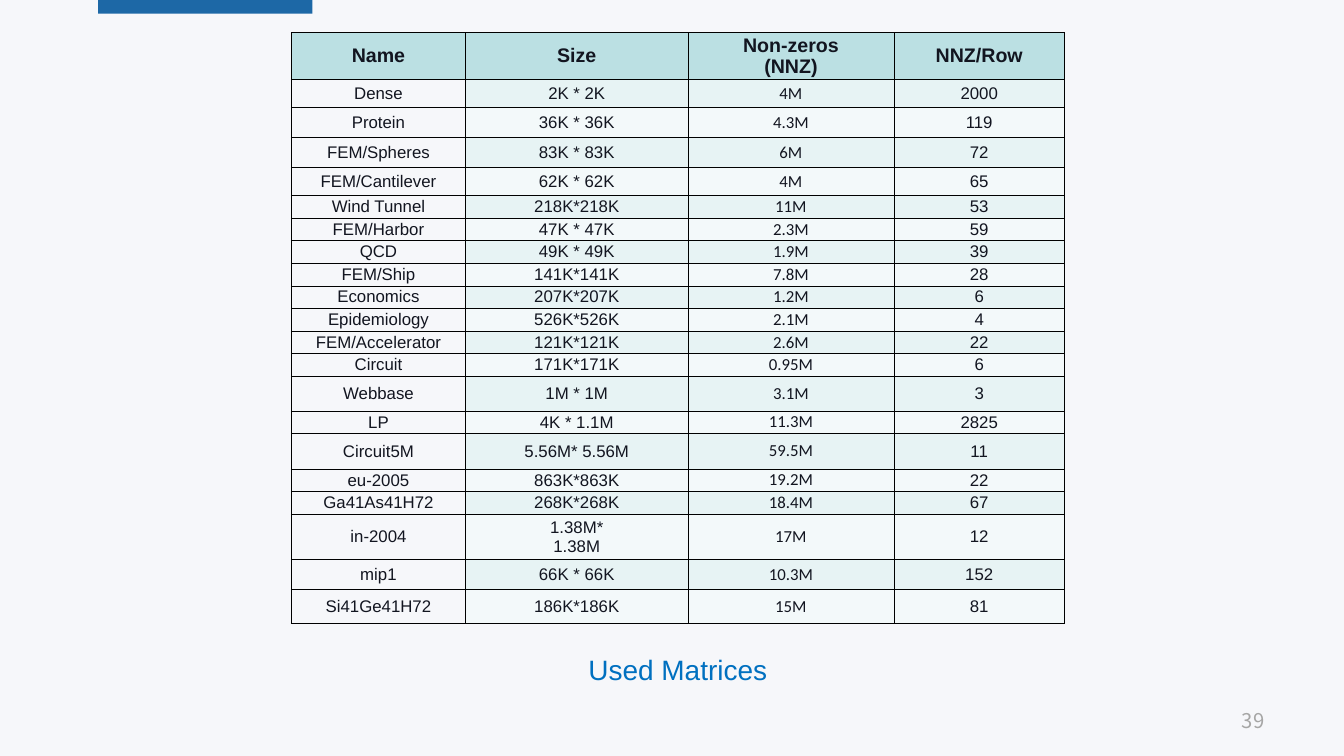
from pptx import Presentation
from pptx.dml.color import RGBColor
from pptx.enum.shapes import MSO_SHAPE as SHAPE
from pptx.enum.text import MSO_ANCHOR as ANCHOR, PP_ALIGN as ALIGN
from pptx.oxml import parse_xml
from pptx.oxml.ns import nsdecls
from pptx.util import Cm, Pt


def rgb(color):
    return RGBColor.from_string(color)


def style(tf, size, font, color, align=ALIGN.CENTER, bold=False):
    for p in tf.paragraphs:
        p.alignment = align
        p.font.size, p.font.name, p.font.bold = Pt(size), font, bold
        p.font.color.rgb = rgb(color)


prs = Presentation()
prs.slide_width, prs.slide_height = Cm(67.74), Cm(38.1)
s = prs.slides.add_slide(prs.slide_layouts[6])
s.background.fill.solid()
s.background.fill.fore_color.rgb = rgb("F6F7FA")

# Accent bar at the top edge
sp = s.shapes.add_shape(SHAPE.RECTANGLE, Cm(4.95), Cm(0), Cm(10.8), Cm(0.69))
sp.shadow.inherit = False
sp.fill.solid()
sp.fill.fore_color.rgb = rgb("1D68A6")
sp.line.fill.background()

# Matrix table: row height in cm, then the four cells
rows = [
    (2.36, "Name", "Size", "Non-zeros\n(NNZ)", "NNZ/Row"),
    (1.42, "Dense", "2K * 2K", "4M", "2000"),
    (1.5, "Protein", "36K * 36K", "4.3M", "119"),
    (1.5, "FEM/Spheres", "83K * 83K", "6M", "72"),
    (1.42, "FEM/Cantilever", "62K * 62K", "4M", "65"),
    (1.14, "Wind Tunnel", "218K*218K", "11M", "53"),
    (1.14, "FEM/Harbor", "47K * 47K", "2.3M", "59"),
    (1.14, "QCD", "49K * 49K", "1.9M", "39"),
    (1.14, "FEM/Ship", "141K*141K", "7.8M", "28"),
    (1.14, "Economics", "207K*207K", "1.2M", "6"),
    (1.14, "Epidemiology", "526K*526K", "2.1M", "4"),
    (1.14, "FEM/Accelerator", "121K*121K", "2.6M", "22"),
    (1.14, "Circuit", "171K*171K", "0.95M", "6"),
    (1.75, "Webbase", "1M * 1M", "3.1M", "3"),
    (1.14, "LP", "4K * 1.1M", "11.3M", "2825"),
    (1.78, "Circuit5M", "5.56M* 5.56M", "59.5M", "11"),
    (1.14, "eu-2005", "863K*863K", "19.2M", "22"),
    (1.14, "Ga41As41H72", "268K*268K", "18.4M", "67"),
    (2.29, "in-2004", "1.38M*\n1.38M", "17M", "12"),
    (1.52, "mip1", "66K * 66K", "10.3M", "152"),
    (1.68, "Si41Ge41H72", "186K*186K", "15M", "81"),
]
widths = [8.79, 11.2, 10.39, 8.59]
table = s.shapes.add_table(len(rows), len(widths), Cm(14.68), Cm(1.65),
                           Cm(sum(widths)), Cm(sum(row[0] for row in rows))).table
table.first_row = table.horz_banding = False
for column, width in zip(table.columns, widths):
    column.width = Cm(width)

for i, (height, *texts) in enumerate(rows):
    table.rows[i].height = Cm(height)
    header = i == 0
    for j, text in enumerate(texts):
        cell = table.cell(i, j)
        cell.text = text
        cell.vertical_anchor = ANCHOR.MIDDLE
        cell.margin_left = cell.margin_right = cell.margin_top = cell.margin_bottom = 0
        font = "Calibri" if j == 2 and not header else "Arial"
        style(cell.text_frame, 28 if header else 24, font, "121520", bold=header)
        # Borders come before the fill in the cell properties
        for side in "LRTB":
            cell._tc.get_or_add_tcPr().append(parse_xml(
                f'<a:ln{side} {nsdecls("a")} w="12700"><a:solidFill>'
                f'<a:srgbClr val="000000"/></a:solidFill></a:ln{side}>'))
        if j == 0 and not header:
            cell.fill.background()
        else:
            cell.fill.solid()
            band = "E7F3F4" if i % 2 else "F3F9FA"
            cell.fill.fore_color.rgb = rgb("BBE0E3" if header else band)

# Caption and slide number
for text, box, (mx, my), size, font, color, align in [
    ("Used Matrices", (11.3, 32.18, 45.72, 3.15), (0.51, 0.25),
     40, "Arial", "0070C0", ALIGN.CENTER),
    ("39", (48.54, 35.31, 15.8, 2.03), (0.61, 0.3),
     29, "Noto Sans CJK SC", "A6A6A5", ALIGN.RIGHT),
]:
    tf = s.shapes.add_textbox(*map(Cm, box)).text_frame
    tf.word_wrap = True
    tf.vertical_anchor = ANCHOR.MIDDLE
    tf.margin_left = tf.margin_right = Cm(mx)
    tf.margin_top = tf.margin_bottom = Cm(my)
    tf.text = text
    style(tf, size, font, color, align)

prs.save("out.pptx")
